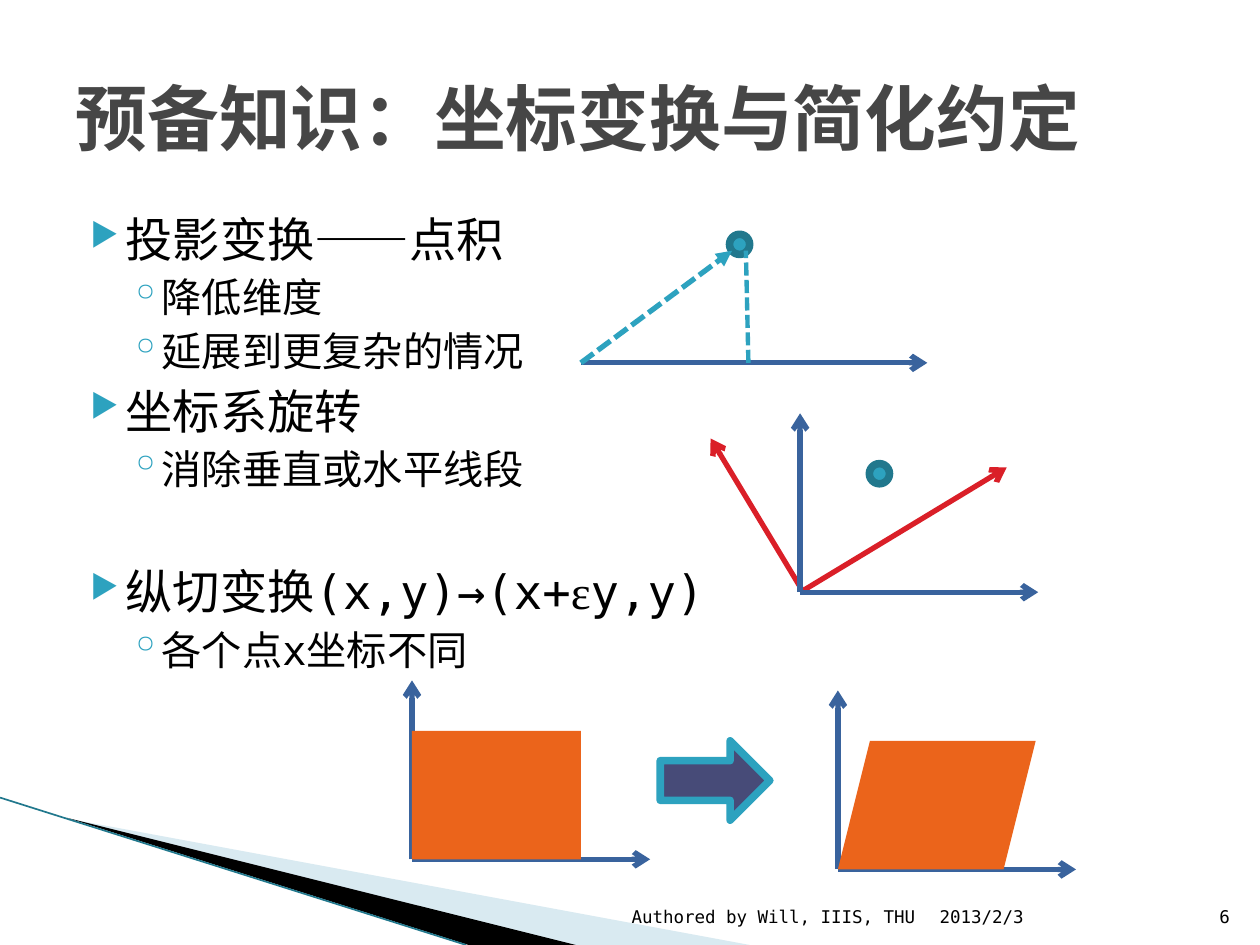
"""Build a slide on coordinate transforms: projection, rotation and shear."""
import pptx
import pptx.dml.color
import pptx.enum.dml
import pptx.enum.shapes
import pptx.enum.text
import pptx.util
from lxml import etree
from pptx.oxml.ns import qn

Inches = pptx.util.Inches
Pt = pptx.util.Pt
RGBColor = pptx.dml.color.RGBColor
SHAPE = pptx.enum.shapes.MSO_SHAPE
ALIGN = pptx.enum.text.PP_ALIGN
ANCHOR = pptx.enum.text.MSO_ANCHOR

BLACK = RGBColor(0x00, 0x00, 0x00)
GREY = RGBColor(0x46, 0x46, 0x46)
TEAL = RGBColor(0x2D, 0xA2, 0xBF)
DARK_TEAL = RGBColor(0x21, 0x78, 0x8D)
PALE_BLUE = RGBColor(0xA0, 0xCB, 0xDC)
BLUE = RGBColor(0x39, 0x63, 0x9D)
RED = RGBColor(0xDA, 0x1F, 0x28)
ORANGE = RGBColor(0xEB, 0x64, 0x1B)
INDIGO = RGBColor(0x47, 0x4B, 0x78)
FONT = "DejaVu Sans Mono"
GREEK_FONT = "Times New Roman"

TITLE = "预备知识：坐标变换与简化约定"
BODY = [
    (0, ["投影变换——点积"], 4),
    (1, ["降低维度"], 3.2),
    (1, ["延展到更复杂的情况"], 3.2),
    (0, ["坐标系旋转"], 4),
    (1, ["消除垂直或水平线段"], 3.2),
    (0, ["纵切变换(x,y)→(x+", "ε", "y,y)"], 40),
    (1, ["各个点x坐标不同"], 3.2),
]
LEVELS = [
    {"size": 27, "margin": 0.4, "indent": -0.28, "bullet": "▶", "percent": 68},
    {"size": 23, "margin": 0.68, "indent": -0.25, "bullet": "◦", "percent": 100},
]
FOOTERS = [
    ("2013/2/3", 7.36, 2.1, ALIGN.LEFT),
    ("Authored by Will, IIIS, THU", 4.79, 2.57, ALIGN.RIGHT),
    ("6", 9.46, 0.4, ALIGN.RIGHT),
]
SWOOSHES = [
    ([(0.55, 6.5), (5.95, 7.5), (4.56, 7.5)], PALE_BLUE, 40),
    ([(0.53, 6.49), (4.57, 7.5), (3.72, 7.5)], BLACK, 100),
]
PROJECTION_LINES = [
    ((4.61, 2.88), (7.36, 2.88), BLUE, 3, "arrow", False),
    ((4.61, 2.88), (5.81, 1.99), TEAL, 3, "triangle", True),
    ((5.94, 2.88), (5.92, 1.99), TEAL, 2.5, None, True),
]
ROTATED_AXIS_TIPS = [(7.99, 3.71), (5.64, 3.48)]
ROTATION_ORIGIN = (6.35, 4.7)
POINTS = [(5.79, 1.86), (6.9, 3.68)]
AXIS_WIDTH, AXIS_HEIGHT = 1.89, 1.42
SHEAR_HEIGHT = 1.02
SHEAR_STAGES = [
    ((3.27, 6.82), SHAPE.RECTANGLE, 1.34),
    ((6.65, 6.9), SHAPE.PARALLELOGRAM, 1.57),
]


def add_line(slide, start, end, color, width, head=None, dashed=False):
    line = slide.shapes.add_connector(
        pptx.enum.shapes.MSO_CONNECTOR.STRAIGHT, *map(Inches, start + end))
    line.line.color.rgb = color
    line.line.width = Pt(width)
    if dashed:
        line.line.dash_style = pptx.enum.dml.MSO_LINE.SQUARE_DOT
    if head:
        etree.SubElement(line.line._get_or_add_ln(), qn("a:tailEnd"), type=head)
    etree.SubElement(line._element.spPr, qn("a:effectLst"))


def style_shape(shape, fill, outline=None):
    shape.shadow.inherit = False
    shape.fill.solid()
    shape.fill.fore_color.rgb = fill
    if outline:
        shape.line.color.rgb = outline
        shape.line.width = Pt(4.33)
    else:
        shape.line.fill.background()


def add_shape(slide, kind, box, fill, outline=None):
    style_shape(slide.shapes.add_shape(kind, *map(Inches, box)), fill, outline)


def add_axes(slide, origin):
    x, y = origin
    for end in [(x + AXIS_WIDTH, y), (x, y - AXIS_HEIGHT)]:
        add_line(slide, origin, end, BLUE, 3, "arrow")


def add_swoosh(slide, points, color, opacity):
    builder = slide.shapes.build_freeform(*map(Inches, points[0]), scale=1.0)
    builder.add_line_segments([tuple(map(Inches, point)) for point in points[1:]])
    shape = builder.convert_to_shape()
    style_shape(shape, color)
    if opacity < 100:
        fill = shape._element.spPr.find(qn("a:solidFill"))
        etree.SubElement(fill[0], qn("a:alpha"), val=str(opacity * 1000))


def add_text_box(slide, box):
    frame = slide.shapes.add_textbox(*map(Inches, box)).text_frame
    frame.word_wrap = True
    return frame


def style_font(font, size, color=BLACK, name=FONT):
    font.size = Pt(size)
    font.color.rgb = color
    font.name = name


def add_bullet(paragraph, level):
    properties = paragraph._p.get_or_add_pPr()
    properties.set("marL", str(Inches(level["margin"])))
    properties.set("indent", str(Inches(level["indent"])))
    color = etree.SubElement(properties, qn("a:buClr"))
    etree.SubElement(color, qn("a:srgbClr"), val=str(TEAL))
    etree.SubElement(properties, qn("a:buSzPct"), val=str(level["percent"] * 1000))
    etree.SubElement(properties, qn("a:buChar"), char=level["bullet"])


def add_title(slide):
    title = slide.shapes.title
    title.left, title.top, title.width, title.height = map(Inches, (0.5, 0.3, 9, 1.25))
    title.text_frame.text = TITLE
    title.text_frame.vertical_anchor = ANCHOR.MIDDLE
    paragraph = title.text_frame.paragraphs[0]
    paragraph.alignment = ALIGN.LEFT
    style_font(paragraph.font, 41, GREY)
    paragraph.font.bold = True


def add_body(slide):
    frame = add_text_box(slide, (0.5, 1.62, 9, 4.95))
    for index, (depth, texts, space) in enumerate(BODY):
        paragraph = frame.add_paragraph() if index else frame.paragraphs[0]
        paragraph.level = depth
        paragraph.space_before = Pt(space)
        add_bullet(paragraph, LEVELS[depth])
        style_font(paragraph.font, LEVELS[depth]["size"])
        for text in texts:
            run = paragraph.add_run()
            run.text = text
            if text == "ε":
                run.font.name = GREEK_FONT


def add_footers(slide):
    for text, left, width, alignment in FOOTERS:
        frame = add_text_box(slide, (left, 7.01, width, 0.4))
        frame.vertical_anchor = ANCHOR.BOTTOM
        paragraph = frame.paragraphs[0]
        paragraph.text = text
        paragraph.alignment = alignment
        style_font(paragraph.font, 10)


def main():
    presentation = pptx.Presentation()
    presentation.slide_width, presentation.slide_height = Inches(10), Inches(7.5)
    slide = presentation.slides.add_slide(presentation.slide_layouts[5])
    for swoosh in SWOOSHES:
        add_swoosh(slide, *swoosh)
    add_line(slide, (0, 6.33), (3.7, 7.5), DARK_TEAL, 0.95)
    add_body(slide)
    add_title(slide)
    for x, y in POINTS:
        add_shape(slide, SHAPE.OVAL, (x, y, 0.16, 0.16), TEAL, DARK_TEAL)
    for line in PROJECTION_LINES:
        add_line(slide, *line)
    for tip in ROTATED_AXIS_TIPS:
        add_line(slide, (6.37, 4.69), tip, RED, 3, "arrow")
    add_axes(slide, ROTATION_ORIGIN)
    for origin, kind, width in SHEAR_STAGES:
        add_axes(slide, origin)
        x, y = origin
        add_shape(slide, kind, (x, y - SHEAR_HEIGHT, width, SHEAR_HEIGHT), ORANGE)
    add_shape(slide, SHAPE.RIGHT_ARROW, (5.24, 5.88, 0.87, 0.63), INDIGO, TEAL)
    add_footers(slide)
    presentation.save("out.pptx")


if __name__ == "__main__":
    main()
